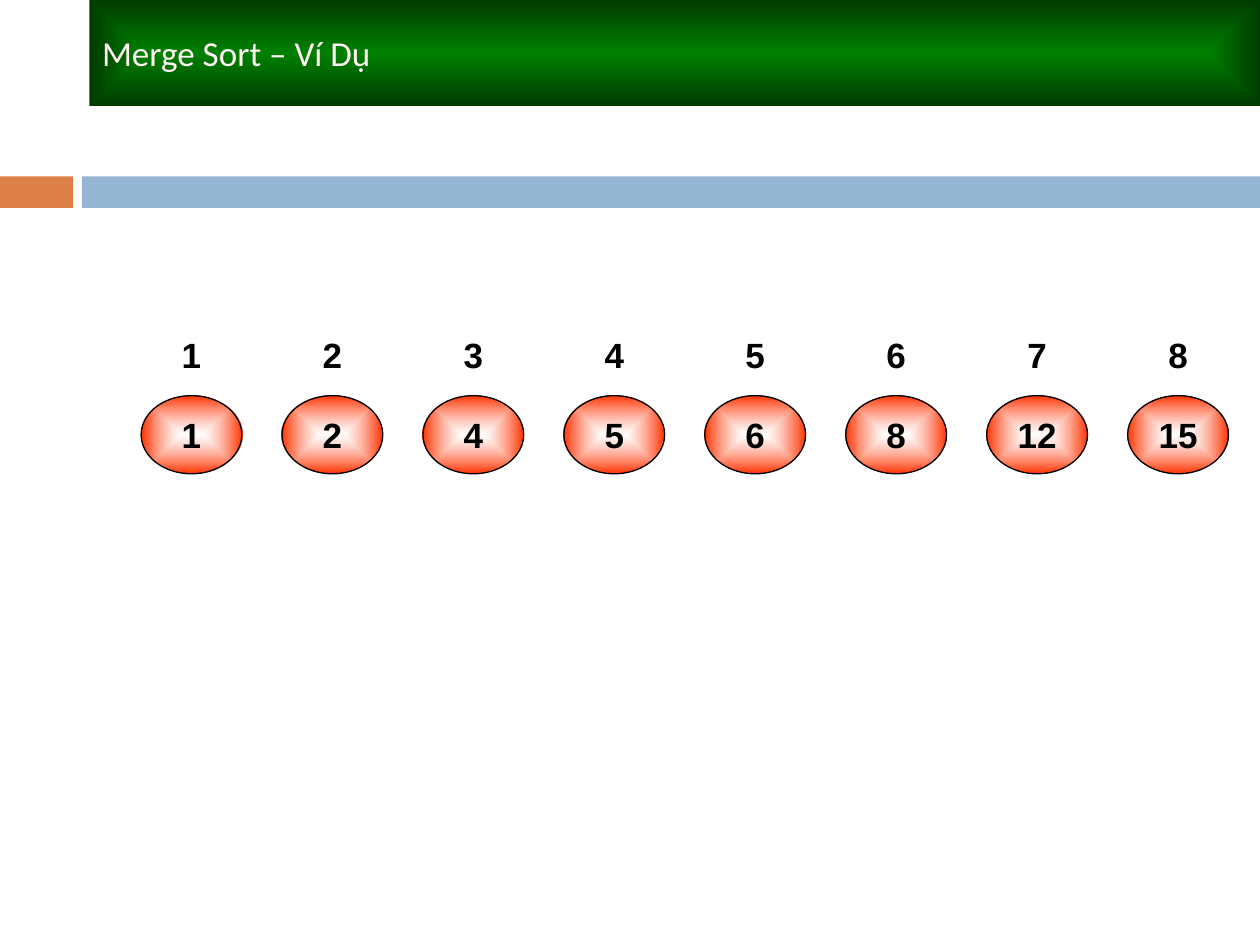
from dataclasses import dataclass

from pptx import Presentation
from pptx.dml.color import RGBColor
from pptx.enum.shapes import MSO_SHAPE
from pptx.enum.text import MSO_ANCHOR, MSO_AUTO_SIZE, PP_ALIGN
from pptx.oxml import parse_xml
from pptx.oxml.ns import nsdecls, qn
from pptx.util import Inches, Pt


@dataclass(frozen=True)
class Theme:
    """Colours, fonts and sizes of the slide."""
    orange: str = "DD8047"
    blue: str = "94B6D2"
    title_text: str = "FFF3F3"
    title_inner: str = "008000"
    title_outer: str = "003B00"
    node_inner: str = "FFFFFF"
    node_outer: str = "FF3300"
    black: str = "000000"
    title_font: str = "Calibri"
    node_font: str = "Arial"
    size: int = 20
    line: float = 0.75


THEME = Theme()
INDICES = range(1, 9)
SORTED_VALUES = [1, 2, 4, 5, 6, 8, 12, 15]


def rgb(value):
    """Turn a hex string into a colour."""
    return RGBColor.from_string(value)


def fill_from_centre(sp, inner, outer, inner_alpha=100):
    """Fill a shape with a rectangular gradient that starts at its centre."""
    sp.fill.gradient()
    old = sp._element.spPr.find(qn("a:gradFill"))
    new = parse_xml(
        f'<a:gradFill {nsdecls("a")} rotWithShape="1"><a:gsLst>'
        f'<a:gs pos="0"><a:srgbClr val="{inner}"><a:alpha val="{inner_alpha * 1000}"/></a:srgbClr></a:gs>'
        f'<a:gs pos="100000"><a:srgbClr val="{outer}"/></a:gs></a:gsLst>'
        '<a:path path="rect"><a:fillToRect l="50000" t="50000" r="50000" b="50000"/></a:path>'
        '</a:gradFill>')
    old.getparent().replace(old, new)


def add_title(slide, text, left, top, width, height):
    """Place the title on its green band."""
    sp = slide.shapes.title
    sp.left, sp.top, sp.width, sp.height = map(Inches, (left, top, width, height))
    fill_from_centre(sp, THEME.title_inner, THEME.title_outer)
    tf = sp.text_frame
    tf.text = text
    tf.auto_size = MSO_AUTO_SIZE.NONE
    tf.vertical_anchor = MSO_ANCHOR.MIDDLE
    p = tf.paragraphs[0]
    p.alignment = PP_ALIGN.LEFT
    p.font.name = THEME.title_font
    p.font.size = Pt(THEME.size)
    p.font.color.rgb = rgb(THEME.title_text)


def add_divider(slide, left, top, width, height, accent=0.58, gap=0.07):
    """Draw the short accent bar and the long bar beside it."""
    start = accent + gap
    bars = [(left, accent, THEME.orange), (left + start, width - start, THEME.blue)]
    for x, w, color in bars:
        sp = slide.shapes.add_shape(
            MSO_SHAPE.RECTANGLE, Inches(x), Inches(top), Inches(w), Inches(height))
        sp.shadow.inherit = False
        sp.fill.solid()
        sp.fill.fore_color.rgb = rgb(color)
        sp.line.fill.background()


def add_number_row(slide, numbers, left, top, width, height, node_width=0.8, filled=False):
    """Spread a group of numbered ellipses evenly over the box."""
    group = slide.shapes.add_group_shape()
    step = (width - node_width) / (len(numbers) - 1)
    for i, number in enumerate(numbers):
        sp = group.shapes.add_shape(
            MSO_SHAPE.OVAL, Inches(left + i * step), Inches(top),
            Inches(node_width), Inches(height))
        sp.shadow.inherit = False
        if filled:
            fill_from_centre(sp, THEME.node_inner, THEME.node_outer, 60)
            sp.line.color.rgb = rgb(THEME.black)
            sp.line.width = Pt(THEME.line)
        else:
            sp.fill.background()
            sp.line.fill.background()
        tf = sp.text_frame
        tf.text = str(number)
        tf.vertical_anchor = MSO_ANCHOR.MIDDLE
        p = tf.paragraphs[0]
        p.alignment = PP_ALIGN.CENTER
        p.font.name = THEME.node_font
        p.font.size = Pt(THEME.size)
        p.font.bold = True
        p.font.color.rgb = rgb(THEME.black)


def main():
    """Build and save the slide."""
    prs = Presentation()
    prs.slide_width, prs.slide_height = Inches(10), Inches(7.5)
    slide = prs.slides.add_slide(prs.slide_layouts[5])
    add_divider(slide, 0, 1.4, 10, 0.25)
    add_number_row(slide, SORTED_VALUES, 1.12, 3.14, 8.63, 0.62, filled=True)
    add_number_row(slide, INDICES, 1.12, 2.5, 8.63, 0.62)
    add_title(slide, "Merge Sort – Ví Dụ", 0.71, 0, 9.29, 0.84)
    prs.save("out.pptx")


if __name__ == "__main__":
    main()
